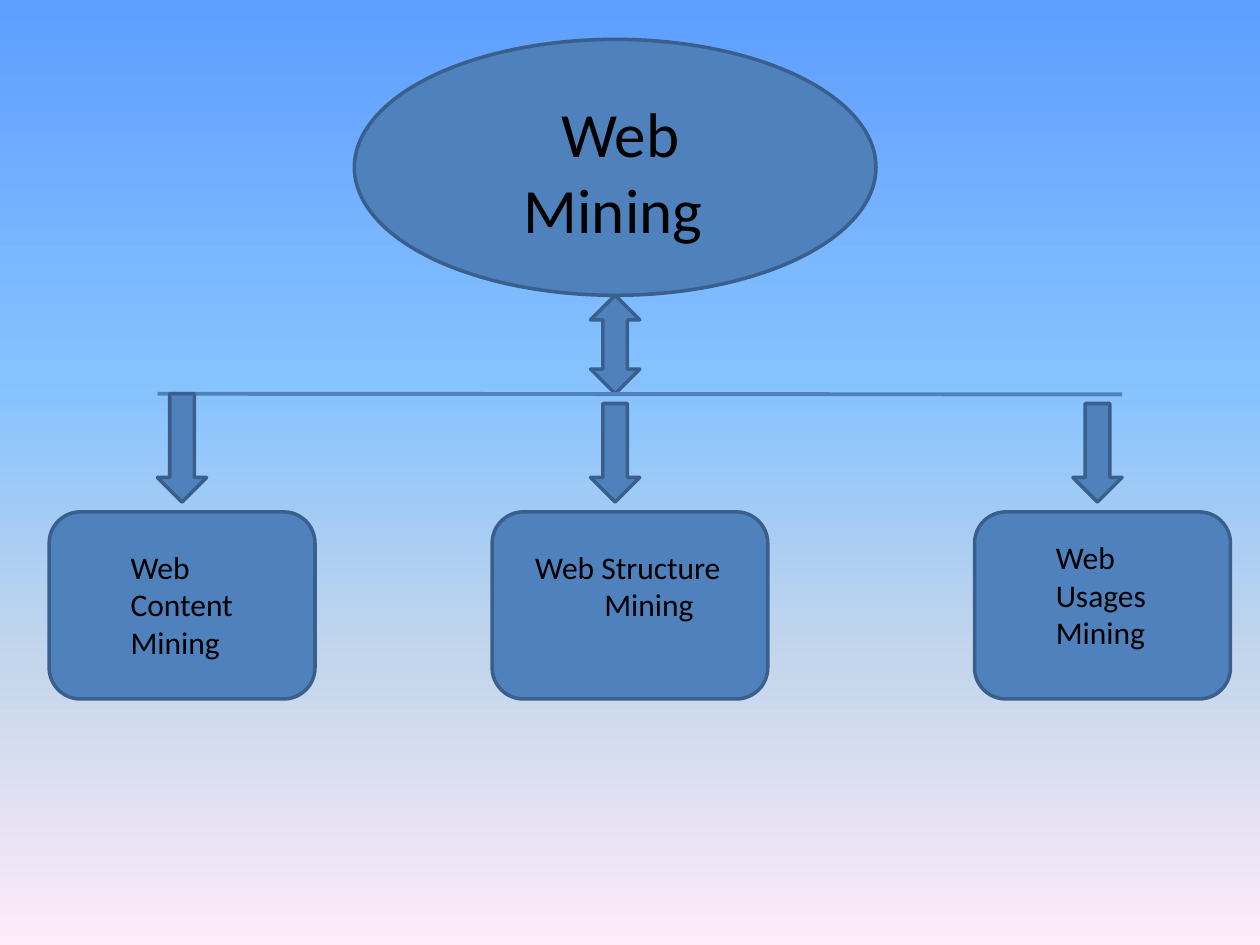
from lxml import etree
from pptx import Presentation
from pptx.dml.color import RGBColor
from pptx.enum.shapes import MSO_CONNECTOR, MSO_SHAPE
from pptx.enum.text import PP_ALIGN
from pptx.oxml.ns import qn
from pptx.util import Pt

DOUBLE_ARROW = MSO_SHAPE.UP_DOWN_ARROW
DOWN_ARROW = MSO_SHAPE.DOWN_ARROW
OVAL = MSO_SHAPE.OVAL
ROUNDED = MSO_SHAPE.ROUNDED_RECTANGLE
STRAIGHT = MSO_CONNECTOR.STRAIGHT
LEFT = PP_ALIGN.LEFT
CENTER = PP_ALIGN.CENTER

BLUE = RGBColor(0x4F, 0x81, 0xBD)
OUTLINE = RGBColor(0x3A, 0x5F, 0x8C)
BLACK = RGBColor(0, 0, 0)
SKY_STOPS = [
    (0, RGBColor(0x5E, 0x9E, 0xFF)),
    (40, RGBColor(0x85, 0xC2, 0xFF)),
    (70, RGBColor(0xC4, 0xD6, 0xEB)),
    (100, RGBColor(0xFF, 0xEB, 0xFA)),
]


def add_block(kind, left, top, width, height):
    shape = slide.shapes.add_shape(kind, Pt(left), Pt(top), Pt(width), Pt(height))
    shape.shadow.inherit = False
    shape.fill.solid()
    shape.fill.fore_color.rgb = BLUE
    shape.line.color.rgb = OUTLINE
    shape.line.width = Pt(2)


def add_label(lines, left, top, width, height, size, alignment):
    box = slide.shapes.add_textbox(Pt(left), Pt(top), Pt(width), Pt(height))
    frame = box.text_frame
    frame.word_wrap = True
    for index, (text, margins) in enumerate(lines):
        paragraph = frame.paragraphs[0] if index == 0 else frame.add_paragraph()
        paragraph.alignment = alignment
        for name, points in margins.items():
            paragraph._p.get_or_add_pPr().set(name, str(Pt(points)))
        run = paragraph.add_run()
        run.text = text
        for name, value in {"name": "Calibri", "size": Pt(size)}.items():
            setattr(run.font, name, value)
        run.font.color.rgb = BLACK


presentation = Presentation()
presentation.slide_width = Pt(720)
presentation.slide_height = Pt(540)
slide = presentation.slides.add_slide(presentation.slide_layouts[6])

background = slide.background.fill
background.gradient()
background.gradient_angle = 270
stop_list = background._fill._gradFill.find(qn("a:gsLst"))
for stop in list(stop_list):
    stop_list.remove(stop)
for position, color in SKY_STOPS:
    stop = etree.SubElement(stop_list, qn("a:gs"), pos=str(position * 1000))
    etree.SubElement(stop, qn("a:srgbClr"), val=str(color))

add_block(DOUBLE_ARROW, 337.5, 168.75, 28.13, 56.25)

branch_line = slide.shapes.add_connector(STRAIGHT, Pt(90), Pt(225), Pt(641.25), Pt(225.4))
branch_line.line.color.rgb = BLUE
branch_line.line.width = Pt(2.25)
etree.SubElement(branch_line._element.spPr, qn("a:effectLst"))

for left, top in [(90, 225), (337.5, 230.6), (613.1, 230.6)]:
    add_block(DOWN_ARROW, left, top, 28.13, 286.9 - top)

add_block(OVAL, 202.5, 22.5, 298.1, 146.25)
add_label([("Web Mining ", {})], 258.75, 50.6, 191.25, 94.5, 36, CENTER)

for left, width in [(28.1, 151.9), (281.25, 157.5), (556.9, 146.25)]:
    add_block(ROUNDED, left, 292.5, width, 106.9)

structure_lines = [("Web Structure", {"marR": 8}), ("Mining", {"marL": 24})]
for lines, left, top, width, height, alignment in [
    ([("Web Content Mining", {})], 67.5, 309.4, 106.9, 72.7, LEFT),
    (structure_lines, 298.1, 309.4, 129.4, 50.9, CENTER),
    ([("Web Usages Mining", {})], 596.25, 303.75, 101.25, 72.7, LEFT),
]:
    add_label(lines, left, top, width, height, 18, alignment)

presentation.save("out.pptx")
